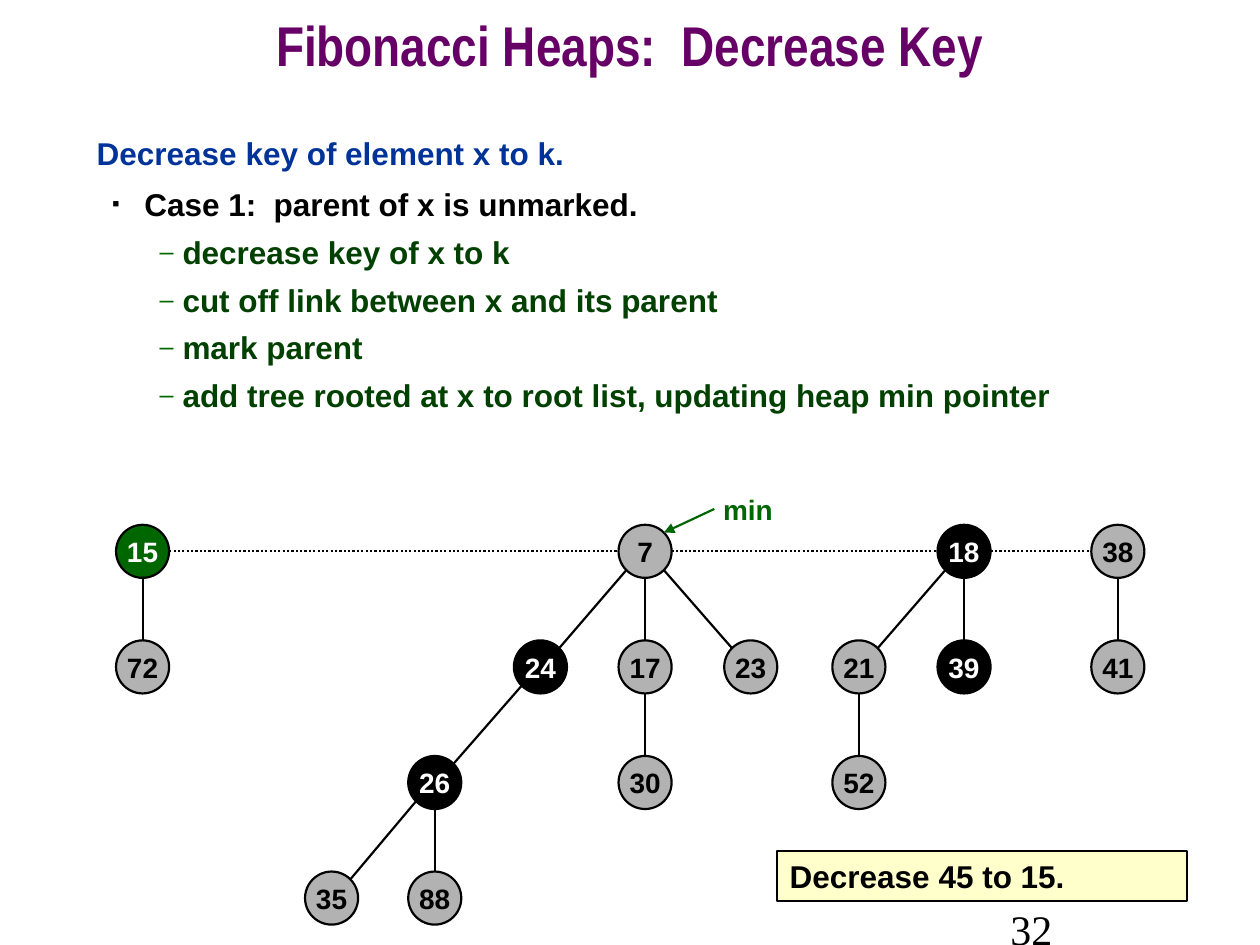
from math import sqrt

from lxml import etree
from pptx import Presentation
from pptx.dml.color import RGBColor
from pptx.enum import dml, shapes, text
from pptx.oxml import ns
from pptx.util import Cm, Pt

BLACK = RGBColor(0, 0, 0)
WHITE = RGBColor(255, 255, 255)
GRAY = RGBColor(0xB2, 0xB2, 0xB2)
INK = RGBColor(1, 0, 0)
GREEN = RGBColor(0, 0x66, 0)
DARK = RGBColor(0, 0x40, 0)
BLUE = RGBColor(0, 0x33, 0x99)
PURPLE = RGBColor(0x66, 0, 0x66)
CREAM = RGBColor(0xFF, 0xFF, 0xCC)

SIZE = 1.07  # node diameter
TOP, STEP = 10.58, 2.33  # first tree level, level distance

# key: (left, level, fill, parent)
NODES = {
    15: (2.34, 0, GREEN, None),
    72: (2.34, 1, GRAY, 15),
    7: (12.47, 0, GRAY, None),
    24: (10.36, 1, INK, 7),
    17: (12.47, 1, GRAY, 7),
    23: (14.6, 1, GRAY, 7),
    26: (8.23, 2, INK, 24),
    30: (12.47, 2, GRAY, 17),
    35: (6.15, 3, GRAY, 26),
    88: (8.23, 3, GRAY, 26),
    18: (18.9, 0, INK, None),
    21: (16.78, 1, GRAY, 18),
    39: (18.9, 1, INK, 18),
    52: (16.78, 2, GRAY, 21),
    38: (22, 0, GRAY, None),
    41: (22, 1, GRAY, 38),
}

# words, colour, line spacing, left margin, indent, bullet, bullet size, bullet colour
BODY = [
    ("Decrease key of element x to k.", BLUE, 1.05, 0, 0, None, 0, None),
    ("Case 1:  parent of x is unmarked.", BLACK, 1.15, 0.96, -0.64, "■", 35, BLACK),
] + [
    (words, DARK, 1.05, 1.73, -0.46, "–", 80, GREEN)
    for words in (
        "decrease key of x to k",
        "cut off link between x and its parent",
        "mark parent",
        "add tree rooted at x to root list, updating heap min pointer",
    )
]


def style(para, size, color, bold=True, font="Arial"):
    for run in para.runs:
        run.font.name = font
        run.font.size = Pt(size)
        run.font.bold = bold
        run.font.color.rgb = color


def label(slide, box, words, size, color, **look):
    frame = slide.shapes.add_textbox(*map(Cm, box)).text_frame
    frame.word_wrap = True
    frame.vertical_anchor = text.MSO_ANCHOR.MIDDLE
    frame.text = words
    style(frame.paragraphs[0], size, color, **look)
    return frame


def block(slide, kind, box, fill, words, size, color):
    """Filled and outlined shape with one line of text."""
    shape = slide.shapes.add_shape(kind, *map(Cm, box))
    shape.shadow.inherit = False
    shape.fill.solid()
    shape.fill.fore_color.rgb = fill
    shape.line.color.rgb = BLACK
    shape.line.width = Pt(1.25)
    frame = shape.text_frame
    frame.vertical_anchor = text.MSO_ANCHOR.MIDDLE
    frame.text = words
    style(frame.paragraphs[0], size, color)
    return frame


def line(slide, start, end, color=BLACK):
    link = slide.shapes.add_connector(
        shapes.MSO_CONNECTOR.STRAIGHT, *map(Cm, start + end))
    link.line.color.rgb = color
    link.line.width = Pt(1.25)
    etree.SubElement(link._element.spPr, ns.qn("a:effectLst"))
    return link


def node(slide, key):
    left, level, fill, _ = NODES[key]
    box = (left, TOP + level * STEP, SIZE, SIZE)
    color = BLACK if fill == GRAY else WHITE
    frame = block(slide, shapes.MSO_SHAPE.OVAL, box, fill, str(key), 16, color)
    frame.word_wrap = False
    frame.paragraphs[0].alignment = text.PP_ALIGN.CENTER


def rim(key, dx, dy):
    """Point on a node's edge in the direction (dx, dy)."""
    left, level = NODES[key][:2]
    reach = SIZE / 2 / sqrt(dx * dx + dy * dy)
    return (left + SIZE / 2 + dx * reach,
            TOP + level * STEP + SIZE / 2 + dy * reach)


def tree(slide):
    for key, (left, _, _, parent) in NODES.items():
        node(slide, key)
        if parent is not None:
            home = NODES[parent][0]
            side = (left > home) - (left < home)
            line(slide, rim(parent, side, 1), rim(key, -side, -1))
    roots = [key for key in NODES if NODES[key][3] is None]
    for key, after in zip(roots, roots[1:]):
        link = line(slide, rim(key, 1, 0), rim(after, -1, 0))
        link.line.dash_style = dml.MSO_LINE.ROUND_DOT


def pointer(slide):
    link = line(slide, rim(7, 1, -1), (14.4, 10.26), GREEN)
    etree.SubElement(link.line._get_or_add_ln(), ns.qn("a:headEnd"), type="triangle")
    frame = label(slide, (14.38, 9.73, 1.4, SIZE), "min", 16, GREEN)
    frame.word_wrap = False
    frame.margin_left = frame.margin_right = 0
    frame.paragraphs[0].alignment = text.PP_ALIGN.CENTER


def bullet(para, mark, size, color):
    props = para._p.get_or_add_pPr()
    tint = etree.SubElement(props, ns.qn("a:buClr"))
    etree.SubElement(tint, ns.qn("a:srgbClr"), val=str(color))
    etree.SubElement(props, ns.qn("a:buSzPct"), val=str(size * 1000))
    etree.SubElement(props, ns.qn("a:buFont"), typeface="Arial")
    etree.SubElement(props, ns.qn("a:buChar"), char=mark)


def body(slide):
    frame = slide.shapes.add_textbox(Cm(1.7), Cm(2.54), Cm(21.8), Cm(15.04)).text_frame
    frame.word_wrap = True
    for i, (words, color, space, left, indent, mark, size, tint) in enumerate(BODY):
        para = frame.add_paragraph() if i else frame.paragraphs[0]
        para.text = words
        para.line_spacing = space
        if i:
            para.space_before = Pt(4.5)
        if mark:
            props = para._p.get_or_add_pPr()
            props.set("marL", str(Cm(left)))
            props.set("indent", str(Cm(indent)))
            bullet(para, mark, size, tint)
        style(para, 18, color)


def main():
    deck = Presentation()
    deck.slide_width, deck.slide_height = Cm(25.4), Cm(19.05)
    slide = deck.slides.add_slide(deck.slide_layouts[6])
    title = label(slide, (0, 0, 25.4, 2.12), "Fibonacci Heaps:  Decrease Key",
                  32, PURPLE, font="Arial Narrow").paragraphs[0]
    title.alignment = text.PP_ALIGN.CENTER
    title.line_spacing = 0.7
    body(slide)
    tree(slide)
    pointer(slide)
    note = block(slide, shapes.MSO_SHAPE.RECTANGLE, (15.67, 17.15, 8.26, 1.02),
                 CREAM, "Decrease 45 to 15.", 18, BLACK)
    note.paragraphs[0].alignment = text.PP_ALIGN.LEFT
    label(slide, (20.12, 18.08, 5.28, 1.27), "32", 24, BLACK,
          bold=False, font="Times New Roman")
    deck.save("out.pptx")


if __name__ == "__main__":
    main()
